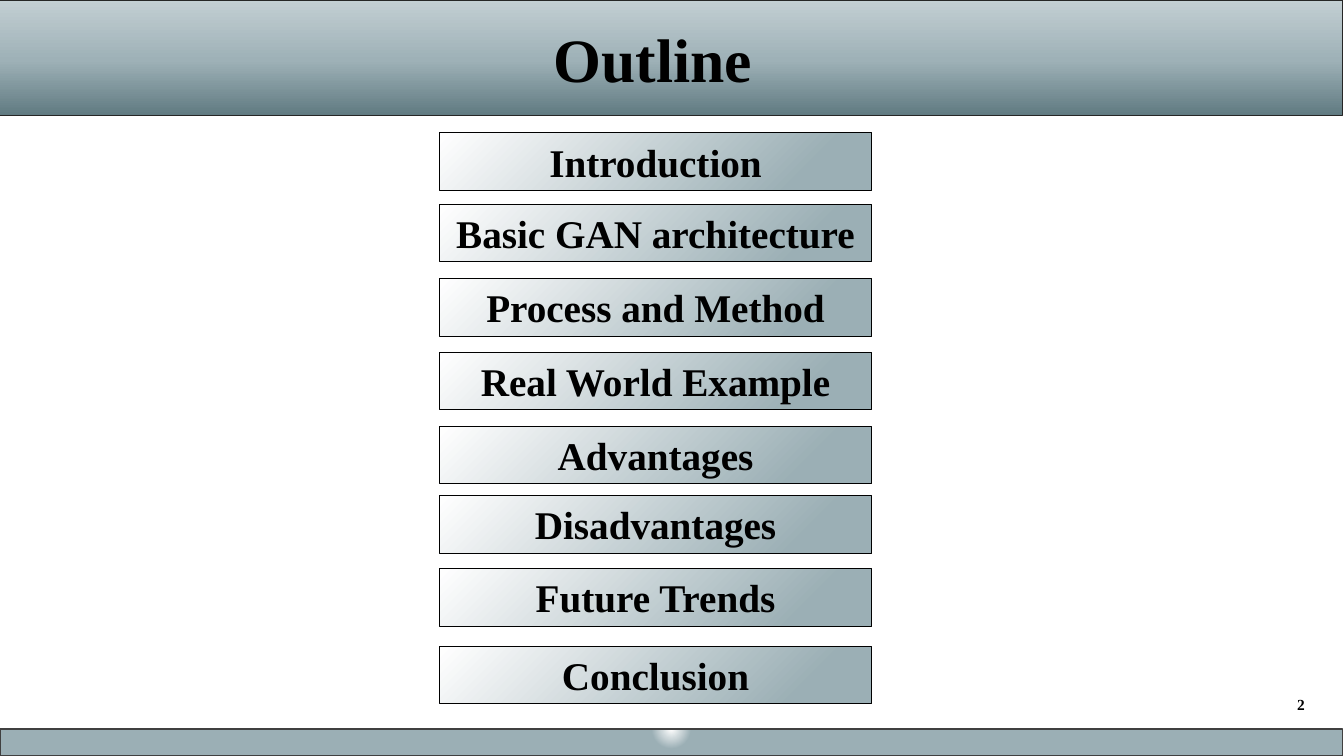
import pptx
import pptx.dml.color
import pptx.enum.shapes
import pptx.enum.text
import pptx.oxml
import pptx.oxml.ns
import pptx.util
from pptx.util import Cm

COLORS = {
    "text": "000000",
    "title_line": "262626",
    "footer_line": "404040",
    "white": "FFFFFF",
    "near_white": "FEFEFE",
    "steel": "9BAFB5",
    "title_dark": "607A81",
    "title_middle": "9EB1B7",
    "title_light": "C3CFD3",
}
LINEAR = '<a:lin ang="{}" scaled="0"/>'
GLOW = '<a:path path="circle"><a:fillToRect l="50000" t="-80000" r="50000" b="180000"/></a:path>'


def paint(shape, stops, direction, line_color, line_width):
    """Give a shape a gradient fill and a solid outline."""
    stop_xml = "".join(
        f'<a:gs pos="{percent * 1000}"><a:srgbClr val="{COLORS[name]}"/></a:gs>'
        for percent, name in stops
    )
    gradient = pptx.oxml.parse_xml(
        f'<a:gradFill {pptx.oxml.ns.nsdecls("a")} rotWithShape="1">'
        f"<a:gsLst>{stop_xml}</a:gsLst>{direction}</a:gradFill>"
    )
    shape.fill.background()
    properties = shape.element.spPr
    properties.replace(properties.find(pptx.oxml.ns.qn("a:noFill")), gradient)
    shape.line.color.rgb = pptx.dml.color.RGBColor.from_string(COLORS[line_color])
    shape.line.width = pptx.util.Pt(line_width)
    shape.shadow.inherit = False


def write(shape, text, size, anchor):
    """Set centred bold text in a shape."""
    frame = shape.text_frame
    frame.text = text
    frame.word_wrap = True
    frame.auto_size = pptx.enum.text.MSO_AUTO_SIZE.NONE
    frame.vertical_anchor = anchor
    paragraph = frame.paragraphs[0]
    paragraph.alignment = pptx.enum.text.PP_ALIGN.CENTER
    paragraph.font.name = "Times New Roman"
    paragraph.font.size = pptx.util.Pt(size)
    paragraph.font.bold = True
    paragraph.font.color.rgb = pptx.dml.color.RGBColor.from_string(COLORS["text"])


RECTANGLE = pptx.enum.shapes.MSO_SHAPE.RECTANGLE
TOP = pptx.enum.text.MSO_ANCHOR.TOP
MIDDLE = pptx.enum.text.MSO_ANCHOR.MIDDLE

presentation = pptx.Presentation()
presentation.slide_width = Cm(33.87)
presentation.slide_height = Cm(19.05)
slide = presentation.slides.add_slide(presentation.slide_layouts[5])

# Title band, with its text slightly left of centre
title = slide.shapes.title
title.left, title.top, title.width, title.height = Cm(-0.03), Cm(0), Cm(33.87), Cm(2.91)
paint(title, [(0, "title_dark"), (48, "title_middle"), (100, "title_light")],
      LINEAR.format(270 * 60000), "title_line", 1)
write(title, "Outline", 44, MIDDLE)
title.text_frame.margin_right = Cm(1.15)

# Footer band
footer = slide.shapes.add_shape(RECTANGLE, Cm(0), Cm(18.37), Cm(33.84), Cm(0.68))
paint(footer, [(0, "white"), (0, "white"), (3, "steel")], GLOW, "footer_line", 1)

# Outline topics, each with its distance from the top in cm
topics = [
    ("Introduction", 3.35),
    ("Basic GAN architecture", 5.15),
    ("Process and Method", 7.02),
    ("Real World Example", 8.88),
    ("Advantages", 10.74),
    ("Disadvantages", 12.49),
    ("Future Trends", 14.33),
    ("Conclusion", 16.29),
]
topic_stops = [(0, "white"), (0, "white"), (1, "near_white"), (83, "steel")]
for topic, top in topics:
    box = slide.shapes.add_shape(RECTANGLE, Cm(11.07), Cm(top), Cm(10.9), Cm(1.45))
    paint(box, topic_stops, LINEAR.format(45 * 60000), "text", 0.75)
    write(box, topic, 28, TOP)

# Slide number
number = slide.shapes.add_shape(
    pptx.enum.shapes.MSO_SHAPE.OVAL, Cm(32.28), Cm(17.25), Cm(1.02), Cm(1.02))
number.fill.background()
number.line.fill.background()
number.shadow.inherit = False
write(number, "2", 11, MIDDLE)
number.text_frame.margin_left = number.text_frame.margin_right = Cm(0.05)

presentation.save("out.pptx")
